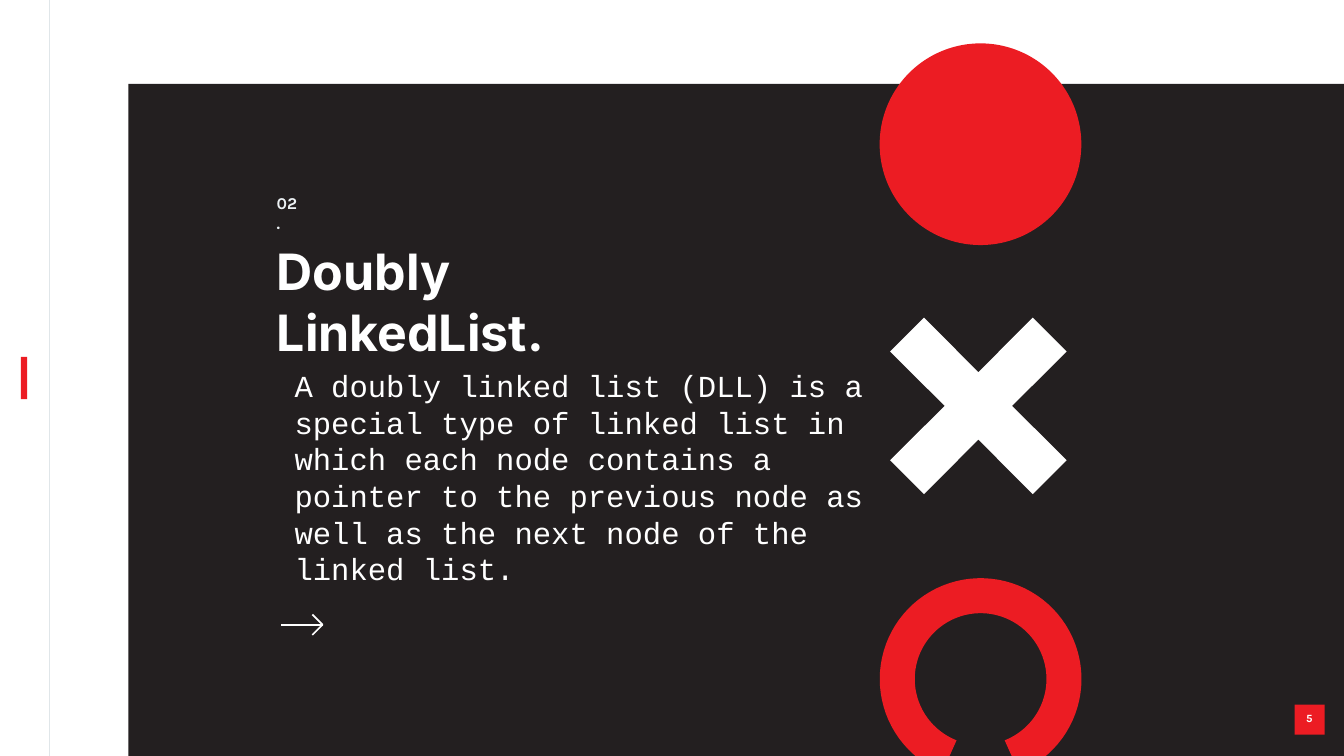
"""Build the Doubly LinkedList section slide."""
from dataclasses import dataclass
from math import cos, radians, sin

from lxml.etree import SubElement
from pptx import Presentation
from pptx.dml.color import RGBColor
from pptx.enum.shapes import MSO_CONNECTOR, MSO_SHAPE
from pptx.enum.text import MSO_ANCHOR, MSO_AUTO_SIZE, PP_ALIGN
from pptx.oxml.ns import qn
from pptx.util import Pt


@dataclass
class Theme:
    """Colours, fonts and type sizes of the slide."""
    red: str = "EC1C23"
    dark: str = "231F20"
    white: str = "FFFFFF"
    pale: str = "ECF1F4"
    rule: str = "E0E6E9"
    head: str = "Inter"
    body: str = "Courier New"
    label: str = "Karla"
    big: float = 59
    text: float = 36
    small: float = 19.5
    tiny: float = 13


theme = Theme()
wide, high = 1583.28, 890.64

deck = Presentation()
deck.slide_width, deck.slide_height = Pt(wide), Pt(high)
slide = deck.slides.add_slide(deck.slide_layouts[5])
shapes = slide.shapes


def paint(shape, color):
    """Fill a shape flat, with no line or shadow."""
    shape.shadow.inherit = False
    shape.fill.solid()
    shape.fill.fore_color.rgb = RGBColor.from_string(color)
    shape.line.fill.background()


def write(box, place, text, font, size, color, bold):
    """Place a text box and set its one line of type."""
    box.left, box.top, box.width, box.height = [Pt(n) for n in place]
    frame = box.text_frame
    frame.text = text
    frame.word_wrap = True
    frame.auto_size = MSO_AUTO_SIZE.SHAPE_TO_FIT_TEXT
    frame.vertical_anchor = MSO_ANCHOR.TOP
    frame.margin_left = frame.margin_right = frame.margin_bottom = 0
    frame.margin_top = Pt(1)
    para = frame.paragraphs[0]
    para.alignment = PP_ALIGN.LEFT
    face = para.runs[0].font
    face.name, face.size, face.bold = font, Pt(size), bold
    face.color.rgb = RGBColor.from_string(color)


rule = shapes.add_connector(MSO_CONNECTOR.STRAIGHT, Pt(57.9), 0, Pt(57.9), Pt(high))
rule.line.color.rgb = RGBColor.from_string(theme.rule)
rule.line.width = Pt(0.82)
SubElement(rule.element.spPr, qn("a:effectLst"))

blocks = [
    (MSO_SHAPE.RECTANGLE, 24.6, 420.5, 7.4, 49.7, theme.red),
    (MSO_SHAPE.RECTANGLE, 151.2, 98.8, wide - 151.2, high - 98.8, theme.dark),
    (MSO_SHAPE.OVAL, 1036.3, 51.1, 237.6, 237.6, theme.red),
    (MSO_SHAPE.RECTANGLE, 1525.2, 830.2, 35.4, 35.4, theme.red),
]
for kind, left, top, width, height, color in blocks:
    paint(shapes.add_shape(kind, Pt(left), Pt(top), Pt(width), Pt(height)), color)

mid, level = 1152.6, 478.2
turns = [(1, 0), (0, 1), (-1, 0), (0, -1)]
arm = [(64, -104), (104, -64), (39.6, 0)]
cross = [(Pt(mid + x * c - y * s), Pt(level + x * s + y * c))
         for c, s in turns for x, y in arm]
pen = shapes.build_freeform(*cross[0])
pen.add_line_segments(cross[1:])
paint(pen.convert_to_shape(), theme.white)

arc = [(Pt(1155.2 + 98.2 * cos(radians(a))), Pt(800 + 98.2 * sin(radians(a))))
       for a in range(112, 429, 4)]
ring = shapes.build_freeform(*arc[0])
ring.add_line_segments(arc[1:], close=False)

tip = (Pt(380), Pt(736))
arrow = shapes.build_freeform(Pt(331.2), Pt(736))
arrow.add_line_segments([tip], close=False)
arrow.move_to(Pt(368), Pt(724))
arrow.add_line_segments([tip, (Pt(368), Pt(748))], close=False)

for pen, color, width in [(ring, theme.red, 41.22), (arrow, theme.white, 2)]:
    stroke = pen.convert_to_shape()
    stroke.shadow.inherit = False
    stroke.fill.background()
    stroke.line.color.rgb = RGBColor.from_string(color)
    stroke.line.width = Pt(width)

title = shapes.title
shapes.element.append(title.element)
write(title, (326, 281.5, 378.7, 144.7), "Doubly LinkedList.",
      theme.head, theme.big, theme.white, True)
title.text_frame.paragraphs[0].line_spacing = 1.01

notes = [
    ((347, 431.3, 689.8, 265), "A doubly linked list (DLL) is a special type of "
     "linked list in which each node contains a pointer to the previous node as "
     "well as the next node of the linked list.",
     theme.body, theme.text, theme.white, False),
    ((326, 226.4, 28, 26), "02.", theme.label, theme.small, theme.pale, True),
    ((1538.6, 837.4, 18, 19.4), "5", theme.label, theme.tiny, theme.white, True),
]
for note in notes:
    write(shapes.add_textbox(0, 0, 0, 0), *note)

deck.save("out.pptx")
